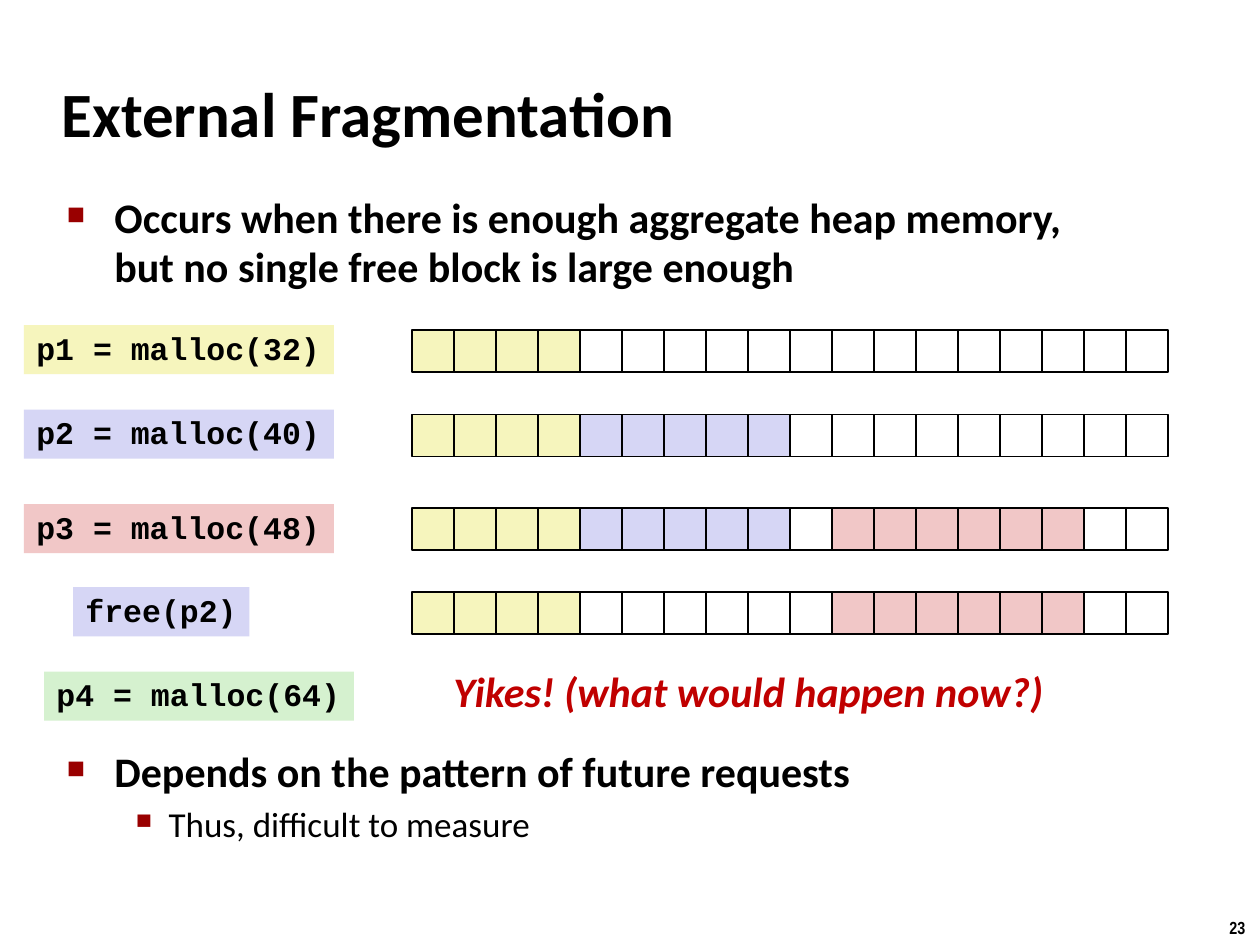
from lxml.etree import SubElement
from pptx import Presentation
from pptx.dml.color import RGBColor
from pptx.enum.shapes import MSO_SHAPE as Shape
from pptx.enum.text import MSO_ANCHOR as Anchor, MSO_AUTO_SIZE as AutoSize
from pptx.oxml.ns import qn
from pptx.util import Inches, Pt

BLACK = RGBColor(0x00, 0x00, 0x00)
WHITE = RGBColor(0xFF, 0xFF, 0xFF)
YELLOW = RGBColor(0xF6, 0xF5, 0xBD)
LILAC = RGBColor(0xD6, 0xD6, 0xF5)
PINK = RGBColor(0xF1, 0xC7, 0xC7)
GREEN = RGBColor(0xD5, 0xF1, 0xCF)
RED = RGBColor(0xC0, 0x00, 0x00)
BULLET_RED = RGBColor(0x99, 0x00, 0x00)

HEAP_LEFT = 3.27
HEAP_WIDTH = 6
HEAP_CELLS = 18
BULLETS = {0: ("■", 60, 0.38, 0.38, 24), 1: ("▪", 110, 0.81, 0.31, 20)}


class HeapSlide:
    """Holds the text style and the current page, and draws each kind of element."""

    def __init__(self, page, body_font="Calibri", code_font="Courier New"):
        self.page = page
        self.body_font = body_font
        self.code_font = code_font

    def style(self, para, size, color=BLACK, bold=True, italic=False, font=None):
        for span in para.runs:
            span.font.name = font or self.body_font
            span.font.size = Pt(size)
            span.font.bold = bold
            span.font.italic = italic
            span.font.color.rgb = color

    def text(self, left, top, width, height, text, size, wrap=False, **style):
        box = self.page.shapes.add_textbox(
            Inches(left), Inches(top), Inches(width), Inches(height))
        frame = box.text_frame
        frame.text = text
        frame.word_wrap = wrap
        self.style(frame.paragraphs[0], size, **style)
        return frame

    def bullets(self, left, top, width, height, items):
        box = self.page.shapes.add_textbox(
            Inches(left), Inches(top), Inches(width), Inches(height))
        frame = box.text_frame
        frame.word_wrap = True
        for index, (level, text) in enumerate(items):
            para = frame.add_paragraph() if index else frame.paragraphs[0]
            mark, percent, margin, hanging, size = BULLETS[level]
            para.text = text
            para.level = level
            para.line_spacing = 0.98
            if index:
                para.space_before = Pt(size * 0.2)
            props = para._p.get_or_add_pPr()
            props.set("marL", str(Inches(margin)))
            props.set("indent", str(-Inches(hanging)))
            color = SubElement(props, qn("a:buClr"))
            SubElement(color, qn("a:srgbClr"), val=str(BULLET_RED))
            SubElement(props, qn("a:buSzPct"), val=str(percent * 1000))
            SubElement(props, qn("a:buChar"), char=mark)
            self.style(para, size, bold=level == 0)

    def rectangle(self, shapes, left, top, width, height, fill, outlined=False):
        box = shapes.add_shape(
            Shape.RECTANGLE, Inches(left), Inches(top), Inches(width), Inches(height))
        box.shadow.inherit = False
        box.fill.solid()
        box.fill.fore_color.rgb = fill
        if outlined:
            box.line.color.rgb = BLACK
            box.line.width = Pt(1)
        else:
            box.line.fill.background()
        return box

    def call(self, left, top, width, code, fill):
        self.rectangle(self.page.shapes, left, top, width, 0.39, fill)
        frame = self.page.shapes[-1].text_frame
        frame.text = code
        frame.word_wrap = False
        frame.auto_size = AutoSize.SHAPE_TO_FIT_TEXT
        para = frame.paragraphs[0]
        para.line_spacing = 0.94
        para.alignment = 1
        self.style(para, 18, font=self.code_font)

    def heap(self, top, blocks):
        fills = [fill for count, fill in blocks for _ in range(count)]
        fills += [WHITE] * (HEAP_CELLS - len(fills))
        side = HEAP_WIDTH / HEAP_CELLS
        group = self.page.shapes.add_group_shape()
        for index, fill in enumerate(fills):
            self.rectangle(group.shapes, HEAP_LEFT + index * side, top,
                           side, side, fill, outlined=True)


def main():
    deck = Presentation()
    deck.slide_width = Inches(10)
    deck.slide_height = Inches(7.5)
    slide = HeapSlide(deck.slides.add_slide(deck.slide_layouts[6]))

    slide.text(9.66, 7.23, 0.34, 0.27, "23", 10, font="Arial Narrow")
    title = slide.text(0.39, 0.48, 8.3, 0.83, "External Fragmentation", 36, wrap=True)
    title.vertical_anchor = Anchor.MIDDLE
    slide.bullets(0.43, 1.49, 8.64, 0.9, [
        (0, "Occurs when there is enough aggregate heap memory, "
            "but no single free block is large enough")])
    slide.bullets(0.43, 5.89, 8.64, 1.04, [
        (0, "Depends on the pattern of future requests"),
        (1, "Thus, difficult to measure")])

    calls = [
        (0.19, 2.58, 2.46, "p1 = malloc(32)", YELLOW),
        (0.19, 3.25, 2.46, "p2 = malloc(40)", LILAC),
        (0.19, 4, 2.46, "p3 = malloc(48)", PINK),
        (0.58, 4.66, 1.4, "free(p2)", LILAC),
        (0.35, 5.33, 2.46, "p4 = malloc(64)", GREEN),
    ]
    for call in calls:
        slide.call(*call)
    slide.text(3.5, 5.23, 4.92, 0.5, "Yikes! (what would happen now?)", 24,
               color=RED, italic=True)

    p1, p2, p3 = (4, YELLOW), (5, LILAC), (6, PINK)
    gap, freed = (1, WHITE), (5, WHITE)
    heaps = [
        (2.62, [p1]),
        (3.29, [p1, p2]),
        (4.03, [p1, p2, gap, p3]),
        (4.7, [p1, freed, gap, p3]),
    ]
    for top, blocks in heaps:
        slide.heap(top, blocks)

    deck.save("out.pptx")


if __name__ == "__main__":
    main()
